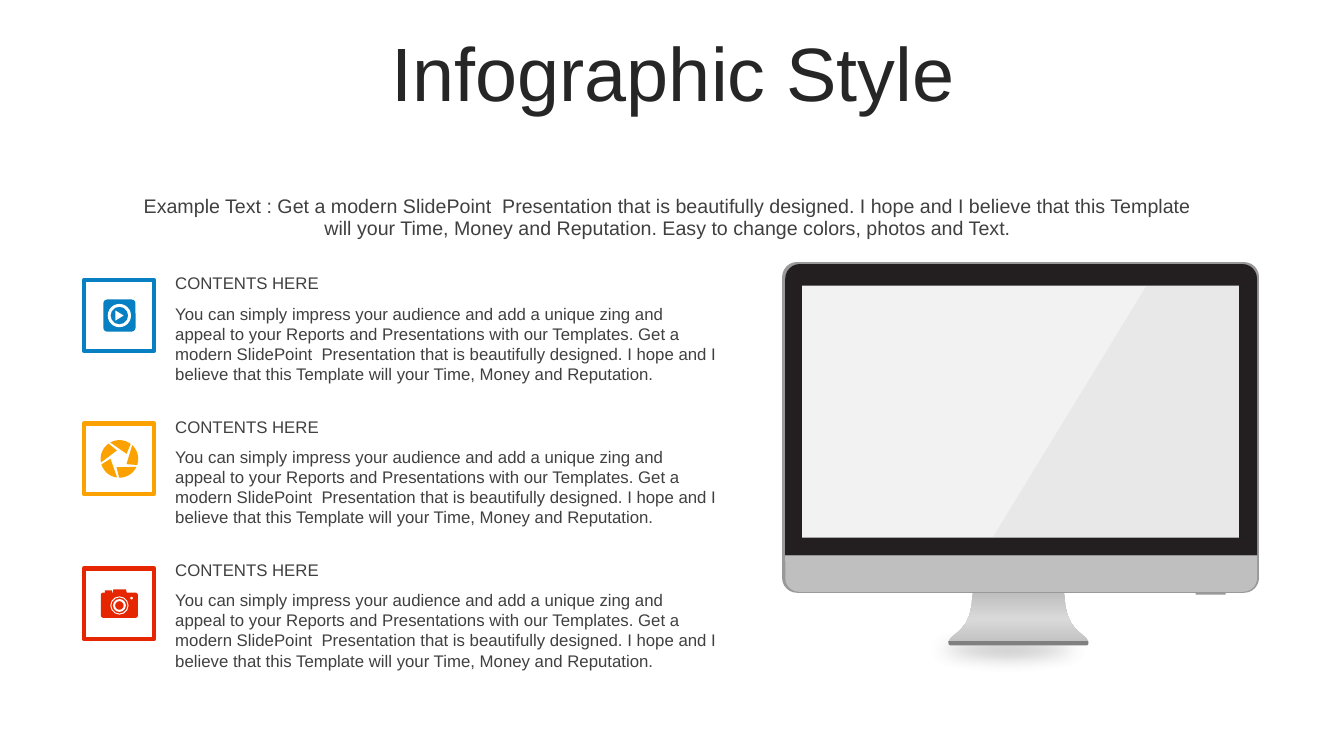
from copy import deepcopy
from math import cos, radians, sin

from lxml.etree import SubElement
from pptx import Presentation
from pptx.dml.color import RGBColor
from pptx.enum.shapes import MSO_SHAPE
from pptx.enum.text import MSO_ANCHOR, MSO_AUTO_SIZE, PP_ALIGN
from pptx.oxml.ns import qn
from pptx.util import Pt

BLUE = RGBColor(0x06, 0x80, 0xC3)
ORANGE = RGBColor(0xFB, 0xA2, 0x00)
RED = RGBColor(0xE6, 0x26, 0x01)
WHITE = RGBColor(0xFF, 0xFF, 0xFF)
TITLE_INK = RGBColor(0x26, 0x26, 0x26)
TEXT_INK = RGBColor(0x40, 0x40, 0x40)
BEZEL = RGBColor(0x23, 0x1F, 0x20)
SCREEN = RGBColor(0xF2, 0xF2, 0xF2)
EDGE = RGBColor(0x99, 0x99, 0x99)
DARK_GRAY = RGBColor(0x80, 0x80, 0x80)
SILVER = RGBColor(0xBF, 0xBF, 0xBF)
LIGHT_SILVER = RGBColor(0xD9, 0xD9, 0xD9)

INTRO = (
    "Example Text : Get a modern SlidePoint  Presentation that is beautifully designed. "
    "I hope and I believe that this Template will your Time, Money and Reputation. "
    "Easy to change colors, photos and Text."
)
BODY = (
    "You can simply impress your audience and add a unique zing and appeal to your Reports "
    "and Presentations with our Templates. Get a modern SlidePoint  Presentation that is "
    "beautifully designed. I hope and I believe that this Template will your Time, Money "
    "and Reputation."
)


class Painter:
    """Draws styled elements on the current page, with lengths in points."""

    def __init__(self, page, font="Arial"):
        self.page = page
        self.font = font

    def style(self, shape, color, opacity=None):
        shape.shadow.inherit = False
        shape.fill.solid()
        shape.fill.fore_color.rgb = color
        shape.line.fill.background()
        if opacity is not None:
            solid = shape._element.spPr.find(qn("a:solidFill"))
            SubElement(solid[0], qn("a:alpha"), val=str(opacity * 1000))
        return shape

    def preset(self, kind, left, top, width, height, color, adjust=None, opacity=None):
        shape = self.page.shapes.add_shape(kind, Pt(left), Pt(top), Pt(width), Pt(height))
        if adjust is not None:
            shape.adjustments[0] = adjust
        return self.style(shape, color, opacity)

    def outline(self, points, color, opacity=None):
        corners = [(Pt(x), Pt(y)) for x, y in points]
        builder = self.page.shapes.build_freeform(*corners[0])
        builder.add_line_segments(corners[1:])
        return self.style(builder.convert_to_shape(), color, opacity)

    def disc(self, x, y, radius, color):
        self.preset(MSO_SHAPE.OVAL, x - radius, y - radius, 2 * radius, 2 * radius, color)

    def ring(self, x, y, radius, thickness, color):
        self.preset(MSO_SHAPE.DONUT, x - radius, y - radius, 2 * radius, 2 * radius,
                    color, thickness / (2 * radius))

    def gradient(self, shape, colors):
        shape.fill.gradient()
        shape.fill.gradient_angle = 270
        stops = shape._element.spPr.find(qn("a:gradFill")).find(qn("a:gsLst"))
        for _ in colors[2:]:
            stops.append(deepcopy(stops[0]))
        for index, (stop, color) in enumerate(zip(shape.fill.gradient_stops, colors)):
            stop.position = index / (len(colors) - 1)
            stop.color.rgb = color

    def text(self, words, left, top, width, height, size, color=TEXT_INK,
             centered=False, box=None):
        if box is None:
            box = self.page.shapes.add_textbox(0, 0, 0, 0)
        box.left, box.top, box.width, box.height = Pt(left), Pt(top), Pt(width), Pt(height)
        frame = box.text_frame
        frame.word_wrap = True
        frame.auto_size = MSO_AUTO_SIZE.NONE
        frame.text = words
        para = frame.paragraphs[0]
        if centered:
            frame.vertical_anchor = MSO_ANCHOR.MIDDLE
            para.alignment = PP_ALIGN.CENTER
            para.line_spacing = 0.9
        for span in para.runs:
            span.font.name = self.font
            span.font.size = Pt(size)
            span.font.color.rgb = color

    def icon_frame(self, top, color):
        frame = self.preset(MSO_SHAPE.RECTANGLE, 59.8, top, 50.4, 50.4, WHITE, opacity=80)
        frame.line.color.rgb = color
        frame.line.width = Pt(3)

    def play_icon(self, x, y):
        self.preset(MSO_SHAPE.ROUNDED_RECTANGLE, x - 11.5, y - 11.5, 23, 23, BLUE, 0.12)
        self.ring(x, y, 8.3, 2, WHITE)
        self.outline([(x - 2.8, y - 3.6), (x + 3, y), (x - 2.8, y + 3.6)], WHITE)

    def aperture_icon(self, x, y):
        blade = [(13.4, angle) for angle in range(170, 237, 6)] + [(6.3, 254)]
        for turn in range(143, 143 + 360, 72):
            self.outline([(x + r * cos(radians(a + turn)), y + r * sin(radians(a + turn)))
                          for r, a in blade], ORANGE)

    def camera_icon(self, x, y):
        self.preset(MSO_SHAPE.ROUNDED_RECTANGLE, x - 13.3, y - 8, 26.6, 18, RED, 0.1)
        self.preset(MSO_SHAPE.RECTANGLE, x - 10.4, y - 9.6, 5, 3, RED)
        self.preset(MSO_SHAPE.TRAPEZOID, x - 5, y - 10.3, 10.4, 3, RED)
        self.ring(x, y + 1.2, 6.5, 0.7, WHITE)
        self.ring(x, y + 1.2, 4.6, 1.5, WHITE)
        self.disc(x + 8.7, y - 4, 0.9, WHITE)

    def monitor(self):
        shade = self.preset(MSO_SHAPE.OVAL, 638, 446, 164, 36, DARK_GRAY, opacity=45)
        effects = shade._element.spPr.find(qn("a:effectLst"))
        SubElement(effects, qn("a:softEdge"), rad=str(Pt(12)))

        center, stand_top = 727.5, 423.4
        profile = [(32.8, 0), (33.4, 9), (35, 16), (37.5, 21.5), (41, 26),
                   (45, 29.5), (48.5, 32.5), (50, 35), (47, 37.4)]
        right = [(center + x, stand_top + y) for x, y in profile]
        left = [(center - x, stand_top + y) for x, y in reversed(profile)]
        self.gradient(self.outline(right + left, SILVER), [SILVER, LIGHT_SILVER, SILVER])
        foot = self.preset(MSO_SHAPE.ROUND_2_SAME_RECTANGLE, 677.5, 458, 100, 3, DARK_GRAY, 0.5)
        foot.rotation = 180

        self.preset(MSO_SHAPE.ROUNDED_RECTANGLE, 558.7, 187.2, 340.6, 236.2, EDGE, 0.045)
        self.preset(MSO_SHAPE.RECTANGLE, 854, 422.6, 21.6, 2.2, EDGE)
        self.preset(MSO_SHAPE.ROUND_2_SAME_RECTANGLE, 560.9, 188.6, 337, 208.2, BEZEL, 0.05)
        chin = self.preset(MSO_SHAPE.ROUND_2_SAME_RECTANGLE,
                           560.9, 396.7, 337, 26, SILVER, 0.38)
        chin.rotation = 180
        self.preset(MSO_SHAPE.RECTANGLE, 573, 204, 312, 180, SCREEN)
        self.outline([(819, 204), (885, 204), (885, 384), (709, 384)], EDGE, opacity=10)


def main():
    deck = Presentation()
    deck.slide_width, deck.slide_height = Pt(960), Pt(540)
    page = deck.slides.add_slide(deck.slide_layouts[5])
    painter = Painter(page)
    painter.monitor()
    painter.text("Infographic Style", 25.2, 26.6, 911.5, 56.9, 54, TITLE_INK,
                 centered=True, box=page.shapes.title)
    painter.text(INTRO, 93.6, 130.3, 766.8, 51.1, 14, centered=True)
    sections = [
        (200.2, BLUE, painter.play_icon),
        (302.6, ORANGE, painter.aperture_icon),
        (406.1, RED, painter.camera_icon),
    ]
    for index, (frame_top, color, draw_icon) in enumerate(sections):
        text_top = 191.5 + 102.3 * index
        painter.icon_frame(frame_top, color)
        draw_icon(85.3, frame_top + 25.2)
        painter.text("CONTENTS HERE", 118.1, text_top, 402.5, 21.6, 12)
        painter.text(BODY, 118.1, text_top + 21.6, 402.5, 65.5, 12)
    deck.save("out.pptx")


if __name__ == "__main__":
    main()
